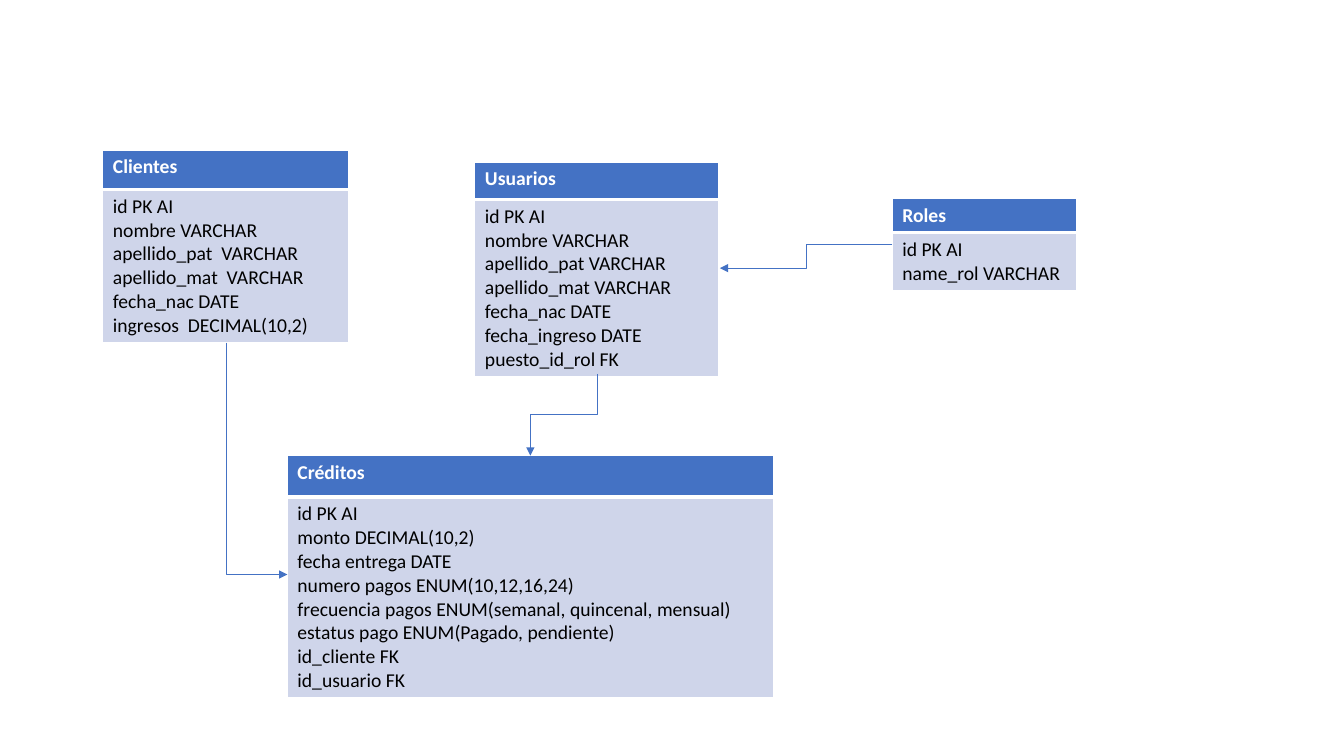
from math import cos, radians, sin

from lxml import etree
from pptx import Presentation
from pptx.dml.color import RGBColor
from pptx.enum import shapes
from pptx.oxml import ns
from pptx.util import Inches, Pt

BLUE = RGBColor(0x44, 0x72, 0xC4)
PALE = RGBColor(0xCF, 0xD5, 0xEA)
WHITE = RGBColor(0xFF, 0xFF, 0xFF)
BLACK = RGBColor(0x00, 0x00, 0x00)
FONT = "Calibri"

# Entities: name, (left, top, width, height), header height, fields
ENTITIES = [
    ("Clientes", (1.02, 1.49, 2.44, 1.91), 0.39, [
        "id PK AI", "nombre VARCHAR", "apellido_pat  VARCHAR",
        "apellido_mat  VARCHAR", "fecha_nac DATE", "ingresos  DECIMAL(10,2)"]),
    ("Usuarios", (4.71, 1.61, 2.42, 2.1), 0.37, [
        "id PK AI", "nombre VARCHAR", "apellido_pat VARCHAR",
        "apellido_mat VARCHAR", "fecha_nac DATE", "fecha_ingreso DATE",
        "puesto_id_rol FK"]),
    ("Créditos", (2.85, 4.52, 4.82, 2.37), 0.41, [
        "id PK AI", "monto DECIMAL(10,2)", "fecha entrega DATE",
        "numero pagos ENUM(10,12,16,24)",
        "frecuencia pagos ENUM(semanal, quincenal, mensual)",
        "estatus pago ENUM(Pagado, pendiente)", "id_cliente FK",
        "id_usuario FK"]),
    ("Roles", (8.85, 1.97, 1.83, 0.9), 0.32, [
        "id PK AI", "name_rol VARCHAR"]),
]

# Relations: from, to, rotation in degrees, connector preset
RELATIONS = [
    ((8.85, 2.42), (7.14, 2.66), 0, "bentConnector3"),
    ((5.92, 3.71), (5.26, 4.52), 90, "bentConnector3"),
    ((2.24, 3.4), (2.85, 5.7), 270, "bentConnector2"),
]


def set_borders(cell, widths):
    """Add white borders ahead of the cell's fill."""
    tcPr = cell._tc.get_or_add_tcPr()
    for i, (side, width) in enumerate(widths.items()):
        ln = etree.Element(ns.qn(f"a:ln{side}"), w=str(Pt(width)))
        fill = etree.SubElement(ln, ns.qn("a:solidFill"))
        etree.SubElement(fill, ns.qn("a:srgbClr"), val=str(WHITE))
        tcPr.insert(i, ln)


def fill_cell(cell, lines, fill, color, bold):
    cell.fill.solid()
    cell.fill.fore_color.rgb = fill
    cell.text_frame.text = "\n".join(lines)
    for p in cell.text_frame.paragraphs:
        for r in p.runs:
            r.font.name, r.font.size, r.font.bold = FONT, Pt(14), bold
            r.font.color.rgb = color


def add_entity(s, name, box, header, fields):
    table = s.shapes.add_table(2, 1, *map(Inches, box)).table
    table.rows[0].height = Inches(header)
    table.rows[1].height = Inches(box[3] - header)
    head, body = table.cell(0, 0), table.cell(1, 0)
    fill_cell(head, [name], BLUE, WHITE, True)
    fill_cell(body, fields, PALE, BLACK, False)
    set_borders(head, {"L": 1, "R": 1, "T": 1, "B": 3})
    set_borders(body, {"L": 1, "R": 1, "T": 3, "B": 1})


def add_relation(s, start, end, angle, preset):
    # Turn the end points back about the centre; the rotation restores them
    cx, cy = (start[0] + end[0]) / 2, (start[1] + end[1]) / 2
    c, n = cos(radians(angle)), sin(radians(angle))
    ends = []
    for x, y in (start, end):
        dx, dy = x - cx, y - cy
        ends += [Inches(cx + dx * c + dy * n), Inches(cy - dx * n + dy * c)]
    line = s.shapes.add_connector(shapes.MSO_CONNECTOR.ELBOW, *ends)
    line.line.color.rgb = BLUE
    line.line.width = Pt(0.5)
    spPr = line._element.spPr
    spPr.find(ns.qn("a:xfrm")).set("rot", str(angle * 60000))
    spPr.find(ns.qn("a:prstGeom")).set("prst", preset)
    etree.SubElement(spPr.find(ns.qn("a:ln")), ns.qn("a:tailEnd"), type="triangle")
    etree.SubElement(spPr, ns.qn("a:effectLst"))


def main():
    prs = Presentation()
    prs.slide_width, prs.slide_height = Inches(13.33), Inches(7.5)
    s = prs.slides.add_slide(prs.slide_layouts[6])
    for entity in ENTITIES:
        add_entity(s, *entity)
    for relation in RELATIONS:
        add_relation(s, *relation)
    prs.save("out.pptx")


if __name__ == "__main__":
    main()
